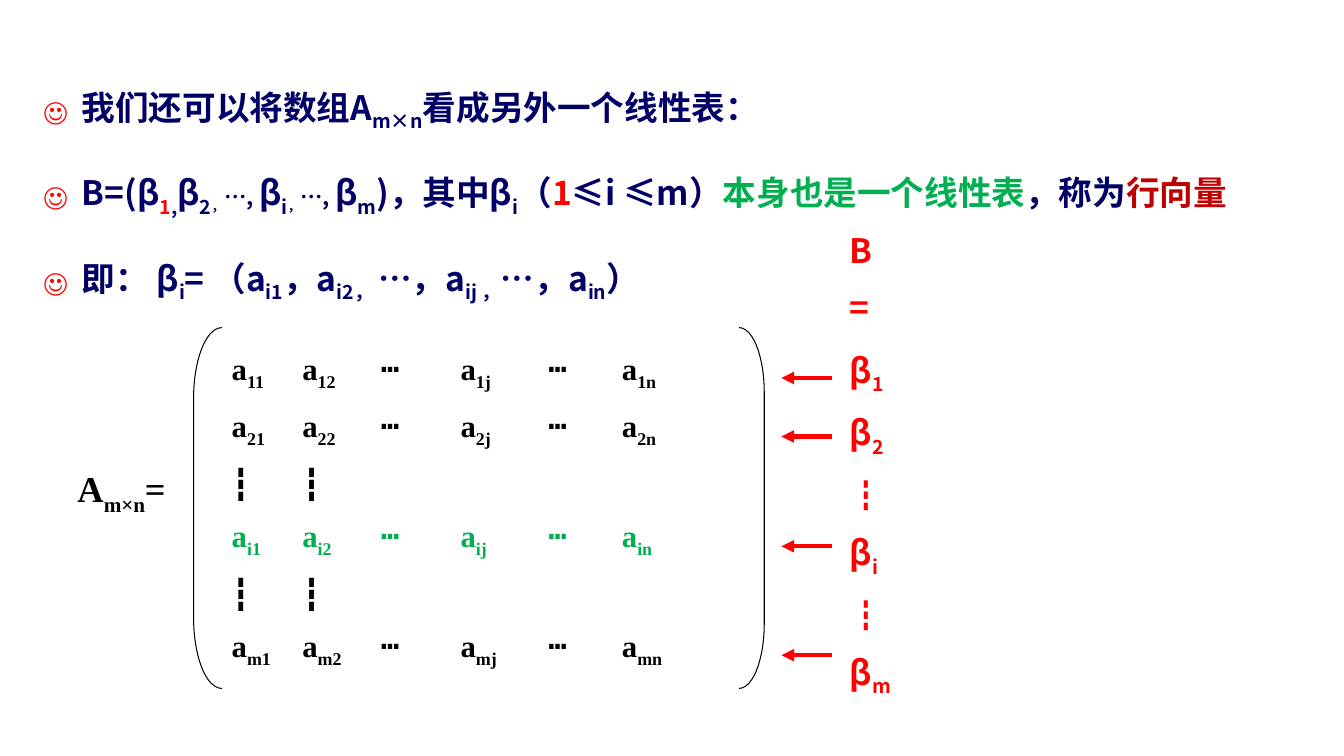
from lxml import etree
from pptx import Presentation
from pptx import util as u
from pptx.dml.color import RGBColor
from pptx.enum import shapes, text
from pptx.oxml.ns import qn

SANS = "Noto Sans CJK SC"
SERIF = "Times New Roman"
NAVY, RED, GREEN, CRIMSON, BLACK = "000066", "FF0000", "00B050", "C00000", "000000"

STATEMENTS = [
    [("我们还可以将数组A~m×n~看成另外一个线性表：", {})],
    [
        ("B=(β", {}), ("~1~", {"color": RED}), ("~,~β~2~", {}),
        ("~，~…, ", {"size": 16}), ("β~i~", {}),
        ("~，~…, ", {"size": 16}), ("β~m~)，其中β~i~（", {}),
        ("1", {"color": RED}), ("≤i ≤m）", {}),
        ("本身也是一个线性表", {"color": GREEN}), ("，称为", {}),
        ("行向量", {"color": CRIMSON}),
    ],
    [("即： β~i~= （a~i1~，a~i2， ~…，a~ij ，~…，a~in~）", {})],
]
ROW_INDICES = ["1", "2", None, "i", None, "m"]
COLUMN_TABS = [0.7, 1.48, 2.27, 3.14, 3.87]
ARROW_HEIGHTS = [0.5, 1.08, 2.17, 3.25]


def color_of(value):
    return RGBColor.from_string(value)


def append_element(parent, tag, **attributes):
    return etree.SubElement(parent, qn(tag), attributes)


def add_text(paragraph, markup, font=SANS, size=24, color=NAVY):
    for position, piece in enumerate(markup.split("~")):
        if not piece:
            continue
        run = paragraph.add_run()
        run.text = piece
        run.font.name = font
        run.font.size = u.Pt(size)
        run.font.bold = True
        run.font.color.rgb = color_of(color)
        properties = run.font._element
        append_element(properties, "a:ea", typeface=font)
        if position % 2:
            properties.set("baseline", "-25000")


def add_paragraphs(frame, count):
    return [frame.paragraphs[0]] + [frame.add_paragraph() for _ in range(count - 1)]


def add_text_box(parent, left, top, width, height):
    box = parent.add_textbox(*map(u.Inches, (left, top, width, height)))
    box.text_frame.word_wrap = True
    return box.text_frame


def space_by_half(paragraph):
    spacing = append_element(paragraph._p.get_or_add_pPr(), "a:spcBef")
    append_element(spacing, "a:spcPct", val="50000")


def add_statements(slide, left, top, width, height):
    slide.shapes.title._element.getparent().remove(slide.shapes.title._element)
    body = slide.placeholders[1]
    body.left, body.top, body.width, body.height = map(u.Inches, (left, top, width, height))
    frame = body.text_frame
    frame.auto_size = text.MSO_AUTO_SIZE.NONE
    frame.vertical_anchor = text.MSO_ANCHOR.TOP
    for paragraph, parts in zip(add_paragraphs(frame, len(STATEMENTS)), STATEMENTS):
        paragraph.line_spacing = 1.5
        paragraph.space_before = paragraph.space_after = u.Pt(6)
        properties = paragraph._p.get_or_add_pPr()
        properties.set("marL", str(u.Inches(0.38)))
        properties.set("indent", str(u.Inches(-0.38)))
        append_element(append_element(properties, "a:buClr"), "a:srgbClr", val=RED)
        append_element(properties, "a:buSzPct", val="80000")
        append_element(properties, "a:buFont", typeface=SANS)
        append_element(properties, "a:buChar", char="☺")
        for markup, style in parts:
            add_text(paragraph, markup, **style)


def add_bracket(parent, kind, left, top, width, height, curve):
    bracket = parent.add_shape(kind, *map(u.Inches, (left, top, width, height)))
    bracket.adjustments[0] = curve
    bracket.shadow.inherit = False
    bracket.fill.background()
    bracket.line.color.rgb = color_of(BLACK)
    bracket.line.width = u.Pt(0.75)


def row_markup(index):
    if index is None:
        return "┇\t┇"
    return "\t".join(f"a~{index}{column}~" if column else "┅" for column in ["1", "2", "", "j", "", "n"])


def add_matrix(slide, left, top, width, height):
    parts = slide.shapes.add_group_shape().shapes
    add_bracket(parts, shapes.MSO_SHAPE.LEFT_BRACKET, left + 1.25, top, 0.28, height, 2.5)
    add_bracket(parts, shapes.MSO_SHAPE.RIGHT_BRACKET, left + width - 0.25, top, 0.25, height, 2.58)

    label = add_text_box(parts, left, top + 1.33, 1.25, 0.54).paragraphs[0]
    space_by_half(label)
    add_text(label, "A~m×n~=", font=SERIF, size=26, color=BLACK)

    frame = add_text_box(parts, left + 1.53, top + 0.17, 5.22, 3.25)
    for paragraph, index in zip(add_paragraphs(frame, len(ROW_INDICES)), ROW_INDICES):
        space_by_half(paragraph)
        tabs = append_element(paragraph._p.get_or_add_pPr(), "a:tabLst")
        for tab in COLUMN_TABS:
            append_element(tabs, "a:tab", pos=str(u.Inches(tab)), algn="l")
        color = GREEN if index == "i" else BLACK
        add_text(paragraph, row_markup(index), font=SERIF, size=22, color=color)


def add_arrow(slide, left, top, width):
    arrow = slide.shapes.add_connector(
        shapes.MSO_CONNECTOR.STRAIGHT, *map(u.Inches, (left + width, top, left, top)))
    arrow.line.color.rgb = color_of(RED)
    arrow.line.width = u.Pt(3)
    append_element(arrow.line._get_or_add_ln(), "a:tailEnd", type="triangle")
    append_element(arrow._element.spPr, "a:effectLst")


def add_row_vectors(slide, left, top):
    heading = add_text_box(slide.shapes, left + 0.58, top - 1.02, 0.58, 1.11)
    for paragraph, symbol in zip(add_paragraphs(heading, 2), "B="):
        space_by_half(paragraph)
        add_text(paragraph, symbol, color=RED)

    vectors = add_text_box(slide.shapes, left + 0.58, top + 0.17, 1.08, 3.37)
    for paragraph, index in zip(add_paragraphs(vectors, len(ROW_INDICES)), ROW_INDICES):
        paragraph.space_before = u.Pt(12)
        add_text(paragraph, f"β~{index}~" if index else "┇", color=RED)

    for height in ARROW_HEIGHTS:
        add_arrow(slide, left, top + height, 0.5)


def main():
    presentation = Presentation()
    presentation.slide_width = u.Inches(13.33)
    presentation.slide_height = u.Inches(7.5)
    slide = presentation.slides.add_slide(presentation.slide_layouts[1])
    add_statements(slide, 0.33, 0.58, 12.67, 1.5)
    add_matrix(slide, 0.67, 3.25, 6.91, 3.58)
    add_row_vectors(slide, 7.75, 3.25)
    presentation.save("out.pptx")


if __name__ == "__main__":
    main()
